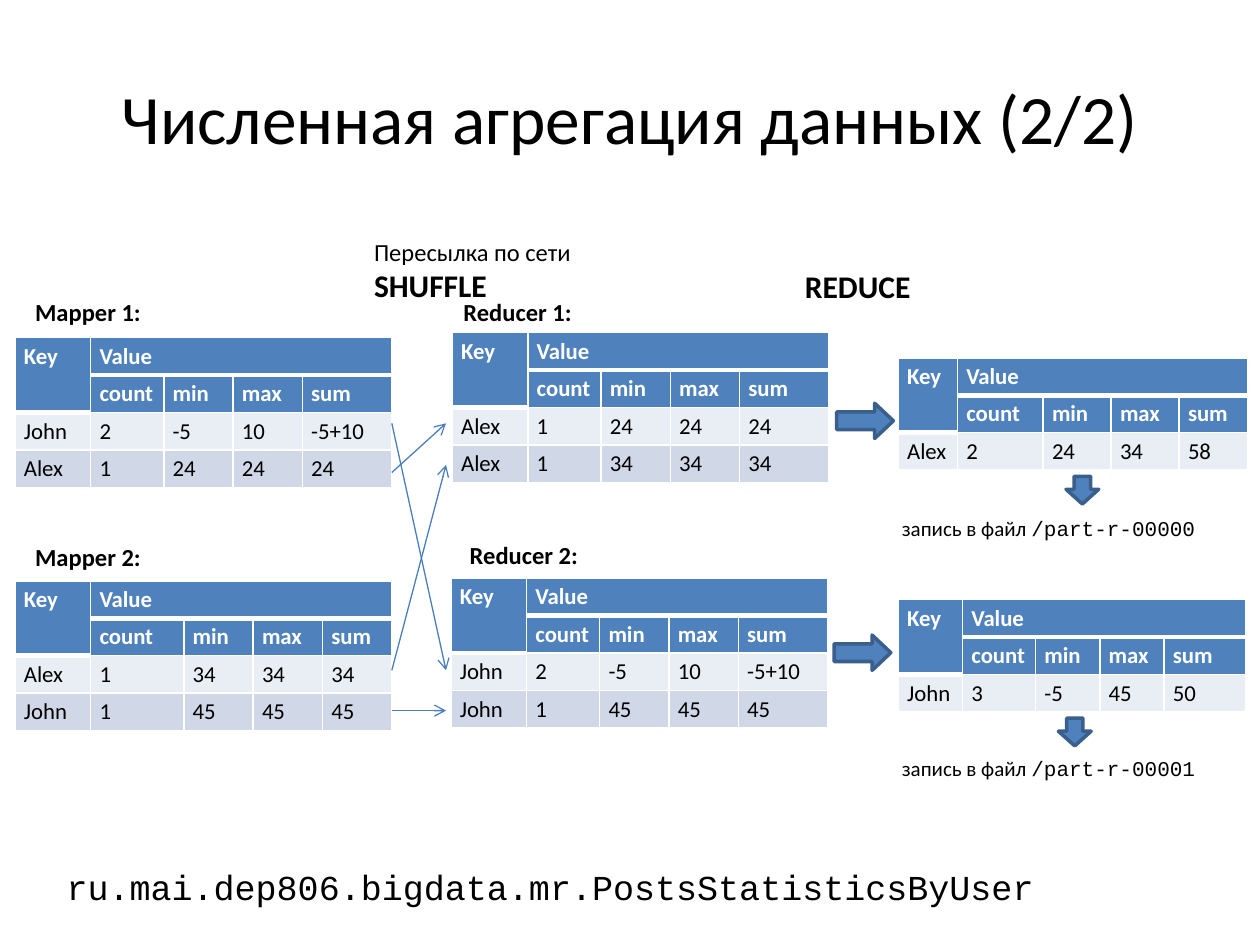
from lxml import etree
from pptx import Presentation
from pptx.dml.color import RGBColor
from pptx.enum.shapes import MSO_CONNECTOR, MSO_SHAPE
from pptx.enum.text import MSO_ANCHOR, MSO_AUTO_SIZE, PP_ALIGN
from pptx.oxml.ns import qn
from pptx.util import Inches, Pt

LINE = MSO_CONNECTOR.STRAIGHT
ARROW = MSO_SHAPE.RIGHT_ARROW
MIDDLE, TOP = MSO_ANCHOR.MIDDLE, MSO_ANCHOR.TOP
LEFT, CENTER = PP_ALIGN.LEFT, PP_ALIGN.CENTER
GROW, FIXED = MSO_AUTO_SIZE.SHAPE_TO_FIT_TEXT, MSO_AUTO_SIZE.NONE

SANS, MONO = "Calibri", "Courier New"
THEME = {
    "ink": "000000", "white": "FFFFFF", "blue": "4F81BD", "edge": "3A5F8C",
    "link": "4B7EBC", "bands": ["E9EDF4", "D0D8E8"],
    "title": {"name": SANS, "size": Pt(39.6), "bold": False},
    "class": {"name": MONO, "size": Pt(20), "bold": False},
    "stage": {"name": SANS, "size": Pt(18), "bold": True},
    "label": {"name": SANS, "size": Pt(14), "bold": True},
    "note": {"name": SANS, "size": Pt(14), "bold": False},
    "file": {"name": SANS, "size": Pt(12), "bold": False},
    "code": {"name": MONO, "size": Pt(12), "bold": False},
    "head": {"name": SANS, "size": Pt(13), "bold": True},
    "cell": {"name": SANS, "size": Pt(13), "bold": False},
}


def add_run(para, words, kind, color=THEME["ink"]):
    run = para.add_run()
    run.text = words
    for key, value in THEME[kind].items():
        setattr(run.font, key, value)
    run.font.color.rgb = RGBColor.from_string(color)


def add_text(box, lines, wrap=True, fit=GROW, anchor=TOP, align=LEFT, before=0):
    frame = slide.shapes.add_textbox(*map(Inches, box)).text_frame
    form = {"word_wrap": wrap, "auto_size": fit, "vertical_anchor": anchor}
    for key, value in form.items():
        setattr(frame, key, value)
    for i, runs in enumerate(lines):
        para = frame.add_paragraph() if i else frame.paragraphs[0]
        para.alignment = align
        para.space_before = Pt(before)
        for words, kind in runs:
            add_run(para, words, kind)


deck = Presentation()
deck.slide_width, deck.slide_height = Inches(10), Inches(7.5)
slide = deck.slides.add_slide(deck.slide_layouts[6])

# Title and class name
add_text((0.5, 0.3, 9, 1.25), [[("Численная агрегация данных (2/2)", "title")]],
         fit=FIXED, anchor=MIDDLE, align=CENTER)
add_text((0.43, 6.82, 9, 0.43),
         [[("ru.mai.dep806.bigdata.mr.PostsStatisticsByUser", "class")]],
         fit=FIXED, before=4)

# Stage names and table labels
add_text((2.87, 1.83, 1.81, 0.64),
         [[("Пересылка по сети", "note")], [("SHUFFLE", "stage")]], wrap=False)
add_text((6.29, 2.07, 1.13, 0.4), [[("REDUCE", "stage")]])
for left, top, name in [(0.18, 2.31, "Mapper 1:"), (0.18, 4.25, "Mapper 2:"),
                        (3.58, 2.31, "Reducer 1:"), (3.63, 4.24, "Reducer 2:")]:
    add_text((left, top, 1.2, 0.34), [[(name, "label")]])

# Tables: two header rows, then the data
ROW = 0.29
HEAD = [["Key", "Value", "", "", ""], ["", "count", "min", "max", "sum"]]
WIDE = [0.6, 0.58, 0.55, 0.55, 0.71]
EVEN = [0.6, 0.74, 0.55, 0.55, 0.55]
tables = [
    (0.12, 2.68, WIDE, ["John 2 -5 10 -5+10", "Alex 1 24 24 24"]),
    (0.12, 4.61, EVEN, ["Alex 1 34 34 34", "John 1 45 45 45"]),
    (3.59, 2.64, WIDE, ["Alex 1 24 24 24", "Alex 1 34 34 34"]),
    (3.58, 4.59, WIDE, ["John 2 -5 10 -5+10", "John 1 45 45 45"]),
    (7.13, 2.84, [0.47, 0.68, 0.54, 0.54, 0.54], ["Alex 2 24 34 58"]),
    (7.13, 4.76, [0.51, 0.58, 0.51, 0.51, 0.65], ["John 3 -5 45 50"]),
]
PADS = {"margin_left": Inches(0.07), "margin_right": Inches(0.07),
        "margin_top": Inches(0.04), "margin_bottom": Inches(0.04)}
THICK = [(0, col) for col in range(5)] + [(1, 0)]  # cells with a heavy bottom rule

for left, top, widths, data in tables:
    rows = HEAD + [line.split() for line in data]
    grid = slide.shapes.add_table(
        len(rows), len(widths), Inches(left), Inches(top),
        Inches(sum(widths)), Inches(ROW * len(rows))).table
    grid.horz_banding = False
    for col, width in enumerate(widths):
        grid.columns[col].width = Inches(width)
    for r, row in enumerate(rows):
        grid.rows[r].height = Inches(ROW)
        is_head = r < len(HEAD)
        for c, words in enumerate(row):
            cell = grid.cell(r, c)
            for key, value in PADS.items():
                setattr(cell, key, value)
            props = cell._tc.get_or_add_tcPr()
            rules = {"lnL": 1, "lnR": 1, "lnT": 3 if (r - 1, c) in THICK else 1,
                     "lnB": 3 if (r, c) in THICK else 1}
            for side, weight in rules.items():
                rule = etree.SubElement(props, qn("a:" + side), w=str(Pt(weight)))
                paint = etree.SubElement(rule, qn("a:solidFill"))
                etree.SubElement(paint, qn("a:srgbClr"), val=THEME["white"])
            shade = THEME["blue"] if is_head else THEME["bands"][r - len(HEAD)]
            cell.fill.solid()
            cell.fill.fore_color.rgb = RGBColor.from_string(shade)
            if words:
                add_run(cell.text_frame.paragraphs[0], words,
                        "head" if is_head else "cell",
                        THEME["white"] if is_head else THEME["ink"])
    grid.cell(0, 0).merge(grid.cell(1, 0))
    grid.cell(0, 1).merge(grid.cell(0, 4))

# Shuffle lines from mappers to reducers
for start, end in [(3.75, 3.36), (3.36, 5.32), (5.32, 3.69), (5.64, 5.64)]:
    link = slide.shapes.add_connector(
        LINE, Inches(3.11), Inches(start), Inches(3.54), Inches(end))
    link.line.width = Pt(0.75)
    link.line.color.rgb = RGBColor.from_string(THEME["link"])
    etree.SubElement(link.line._get_or_add_ln(), qn("a:tailEnd"), type="arrow")
    etree.SubElement(link._element.spPr, qn("a:effectLst"))

# Block arrows: to the result, then down to the file
for left, top, width, height, turn in [
        (6.64, 3.2, 0.45, 0.28, 0), (6.62, 5.04, 0.45, 0.28, 0),
        (8.48, 3.76, 0.22, 0.26, 90), (8.42, 5.68, 0.22, 0.26, 90)]:
    arrow = slide.shapes.add_shape(
        ARROW, Inches(left), Inches(top), Inches(width), Inches(height))
    arrow.rotation = turn
    arrow.adjustments[1] = 0.53
    arrow.shadow.inherit = False
    arrow.fill.solid()
    arrow.fill.fore_color.rgb = RGBColor.from_string(THEME["blue"])
    arrow.line.color.rgb = RGBColor.from_string(THEME["edge"])
    arrow.line.width = Pt(2)

# Output files
for i, top in enumerate([4.04, 5.95]):
    add_text((7.06, top, 2.57, 0.3),
             [[("запись в файл ", "file"), (f"/part-r-0000{i}", "code")]], wrap=False)

deck.save("out.pptx")
